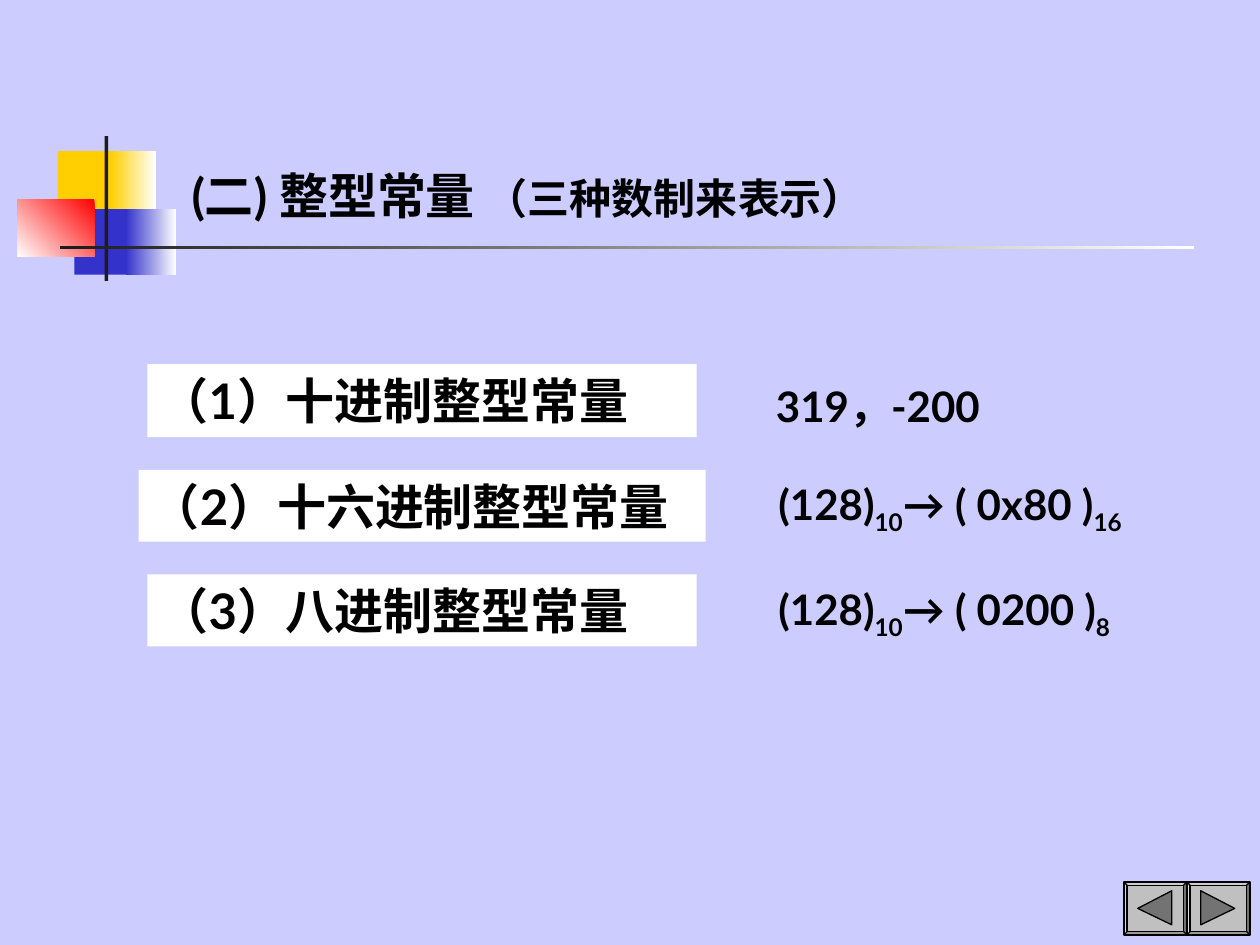
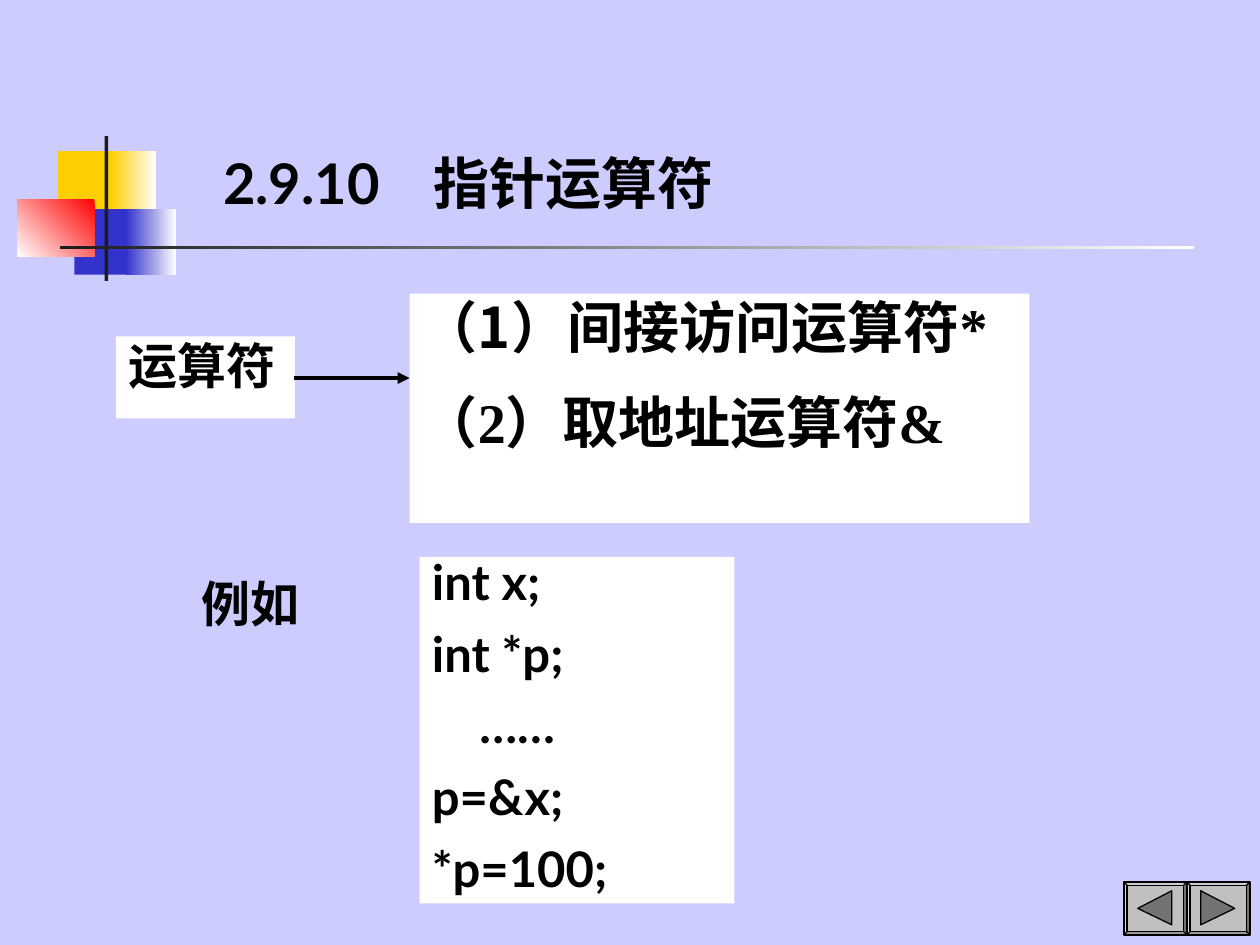
"""Builds two slides on integer constants and pointer operators."""
from lxml import etree
from pptx import Presentation
from pptx.dml.color import RGBColor
from pptx.enum.shapes import MSO_CONNECTOR, MSO_SHAPE
from pptx.enum.text import MSO_ANCHOR, PP_ALIGN
from pptx.oxml.ns import qn
from pptx.util import Inches, Pt

RECT, BEVEL = MSO_SHAPE.RECTANGLE, MSO_SHAPE.BEVEL
STRAIGHT = MSO_CONNECTOR.STRAIGHT
LEFT = PP_ALIGN.LEFT
TOP, BOTTOM = MSO_ANCHOR.TOP, MSO_ANCHOR.BOTTOM
BLACK = RGBColor(0x00, 0x00, 0x00)
WHITE = RGBColor(0xFF, 0xFF, 0xFF)
LILAC = RGBColor(0xCC, 0xCC, 0xFF)
GOLD = RGBColor(0xFF, 0xCF, 0x01)
BLUE = RGBColor(0x33, 0x33, 0xCC)
RED = RGBColor(0xFF, 0x00, 0x00)
INK = RGBColor(0x1C, 0x1C, 0x1C)
GREY = RGBColor(0xC0, 0xC0, 0xC0)
DARK = RGBColor(0x73, 0x73, 0x73)
LATO, HAN, TIMES = "Lato", "Noto Sans CJK SC", "Times New Roman"


class Deck:
    """Holds the style and the current slide."""

    def __init__(self):
        self.prs = Presentation()
        self.prs.slide_width, self.prs.slide_height = Inches(10), Inches(7.5)
        fill = self.prs.slide_master.background.fill
        fill.solid()
        fill.fore_color.rgb = LILAC
        self.slide = None

    def start(self, box, parts, size, tab=None):
        """Adds a slide with its title, ornament and buttons."""
        self.slide = self.prs.slides.add_slide(self.prs.slide_layouts[5])
        title = self.slide.shapes.title
        title.left, title.top, title.width, title.height = map(Inches, box)
        self.put(title.text_frame, [parts], size, tab=tab)
        title.text_frame.vertical_anchor = BOTTOM
        self.rect((0.46, 1.2, 0.48, 0.52), GOLD)
        self.fade((0.88, 1.2, 0.36, 0.52), WHITE, GOLD)
        self.rect((0.59, 1.66, 0.46, 0.52), BLUE)
        self.fade((1, 1.66, 0.4, 0.52), WHITE, BLUE)
        self.fade((0.14, 1.58, 0.61, 0.46), RED, WHITE, 225)
        self.rect((0.83, 1.08, 0.03, 1.15), INK)
        self.fade((0.48, 1.95, 9, 0.03), WHITE, INK)
        self.button(9.42, 0.11, 0.38)
        self.button(8.92, 0.38, 0.11)

    def rect(self, box, color, kind=RECT):
        """Adds a plain shape without outline."""
        shape = self.slide.shapes.add_shape(kind, *map(Inches, box))
        self.paint(shape, color)
        return shape

    def paint(self, shape, color, edge=None):
        """Sets fill and outline and drops the shadow."""
        shape.shadow.inherit = False
        shape.fill.solid()
        shape.fill.fore_color.rgb = color
        if edge is None:
            shape.line.fill.background()
        else:
            shape.line.color.rgb = edge
            shape.line.width = Pt(0.75)

    def fade(self, box, first, last, angle=180):
        """Adds a rectangle with a two-colour gradient."""
        fill = self.rect(box, first).fill
        fill.gradient()
        fill.gradient_angle = angle
        for stop, color in zip(fill.gradient_stops, (first, last)):
            stop.color.rgb = color

    def button(self, left, base, tip):
        """Adds a bevelled button whose arrow runs from base to tip."""
        frame = self.rect((left, 7, 0.5, 0.42), GREY, BEVEL)
        frame.adjustments[0] = 0.06
        self.paint(frame, GREY, BLACK)
        pen = self.slide.shapes.build_freeform(
            Inches(left + base), Inches(7.07))
        pen.add_line_segments([(Inches(left + tip), Inches(7.21)),
                               (Inches(left + base), Inches(7.34))])
        self.paint(pen.convert_to_shape(), DARK, BLACK)

    def label(self, box, paras, size, color=None, right=0, **style):
        """Adds a text box, filled when a colour is given."""
        if color is None:
            shape = self.slide.shapes.add_textbox(*map(Inches, box))
        else:
            shape = self.rect(box, color)
        self.put(shape.text_frame, paras, size, **style)
        shape.text_frame.margin_right = Inches(right)

    def put(self, frame, paras, size, font=LATO, line=None, before=0,
            after=0, tab=None):
        """Fills a frame; a part is a text or a text with its own style."""
        frame.word_wrap = True
        frame.vertical_anchor = TOP
        for i, parts in enumerate(paras):
            para = frame.paragraphs[0] if i == 0 else frame.add_paragraph()
            para.alignment = LEFT
            para.line_spacing = line
            para.space_before = Pt(before if i else 0)
            para.space_after = Pt(after)
            if tab:
                tabs = etree.SubElement(para._p.get_or_add_pPr(), qn("a:tabLst"))
                etree.SubElement(tabs, qn("a:tab"), pos=str(Inches(tab)), algn="l")
            face = para.font
            face.size, face.bold = Pt(size), True
            face.color.rgb = BLACK
            face.name = font
            etree.SubElement(face._element, qn("a:ea"), typeface=HAN)
            for part in [parts] if isinstance(parts, str) else parts:
                text, style = (part, {}) if isinstance(part, str) else part
                run = para.add_run()
                run.text = text
                if "size" in style:
                    run.font.size = Pt(style["size"])
                if "font" in style:
                    run.font.name = style["font"]
                if "base" in style:
                    run._r.get_or_add_rPr().set("baseline", str(style["base"]))

    def arrow(self, x1, y1, x2, y2):
        """Adds a black line with a triangle at its end."""
        line = self.slide.shapes.add_connector(
            STRAIGHT, *map(Inches, (x1, y1, x2, y2)))
        line.line.color.rgb = BLACK
        line.line.width = Pt(2.25)
        etree.SubElement(line.line._get_or_add_ln(), qn("a:tailEnd"),
                         type="triangle")
        etree.SubElement(line._element.spPr, qn("a:effectLst"))


def number(value, radix):
    """Gives a bracketed number with its radix lowered."""
    return [value, (radix, {"base": -26000})]


def main():
    """Builds and saves the deck."""
    deck = Deck()
    deck.start((1.42, 1.33, 7.42, 0.5),
               ["(二) 整型常量 ", ("（三种数制来表示）", {"size": 24})], 28)
    deck.label((1.17, 2.89, 4.36, 0.58), ["（1）十进制整型常量"], 28, WHITE)
    deck.label((1.1, 3.73, 4.5, 0.57), ["（2）十六进制整型常量"], 28, WHITE)
    deck.label((1.17, 4.56, 4.36, 0.57), ["（3）八进制整型常量"], 28, WHITE)
    deck.label((6.06, 2.97, 1.99, 0.5), ["319，-200"], 24)
    for top, value, radix in ((3.75, "0x80", "16"), (4.58, "0200", "8")):
        parts = number("(128)", "10") + number(f"→ ( {value} )", radix)
        deck.label((6.08, top, 3.5, 0.56), [parts], 24)

    deck.start((1.67, 1.08, 5.33, 0.68),
               ["2.9.10\t", ("指针运算符", {"font": HAN})], 32, tab=1.67)
    deck.label((0.92, 2.67, 1.42, 0.65), ["运算符"], 28, WHITE,
               font=HAN, line=0.9)
    deck.label((3.33, 4.42, 2.5, 2.75),
               ["int x;", "int *p;", "    ……", "p=&x;", "*p=100;"],
               28, WHITE, line=0.8, before=7, after=7)
    star, mark = ("*", {"font": TIMES}), ("&", {"font": TIMES})
    deck.label((3.25, 2.33, 4.92, 1.82),
               [["（1）间接访问运算符", star],
                [("（2）", {"font": TIMES}), "取地址运算符", mark]],
               32, WHITE, right=0.15, font=HAN, line=0.9, before=20)
    deck.label((1.5, 4.5, 0.97, 0.57), ["例如"], 28, font=TIMES)
    deck.arrow(2.33, 3, 3.25, 3)
    deck.prs.save("out.pptx")


if __name__ == "__main__":
    main()
